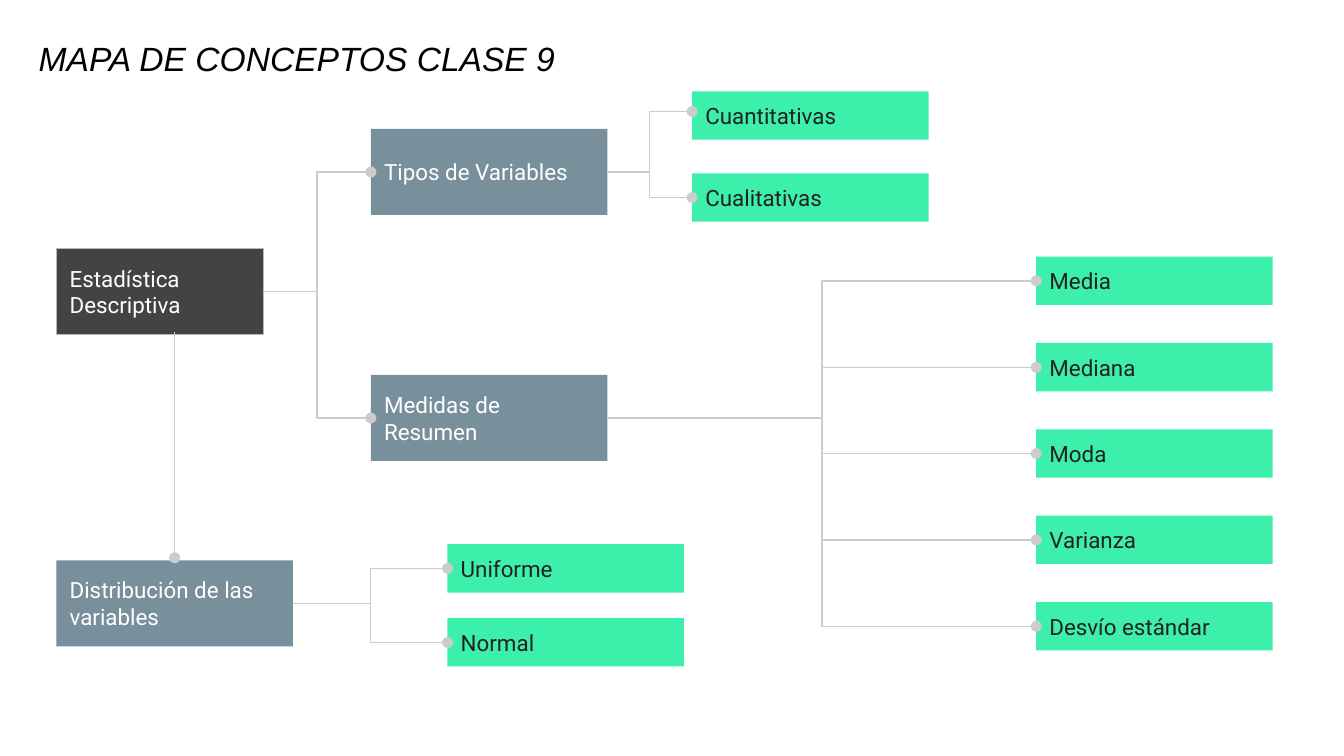
import pptx
import pptx.dml.color
import pptx.enum.shapes
import pptx.enum.text
import pptx.oxml
import pptx.oxml.ns
import pptx.util

Inches = pptx.util.Inches
Pt = pptx.util.Pt
Connector = pptx.enum.shapes.MSO_CONNECTOR

COLORS = {
    "root": "434343", "root_line": "B7B7B7", "topic": "78909C", "leaf": "3CEFAB",
    "light": "FFFFFF", "dark": "222222", "title": "000000", "link": "CCCCCC",
}
LEFT_SITE, RIGHT_SITE = 1, 3  # connection sites of a rectangle
TOPIC_WIDTH, TOPIC_HEIGHT, LEAF_HEIGHT = 1.76, 0.64, 0.36


def color(name):
    return pptx.dml.color.RGBColor.from_string(COLORS[name])


def write(shape, text, size, font, ink, anchor):
    frame = shape.text_frame
    frame.word_wrap = True
    frame.vertical_anchor = anchor
    frame.margin_left = frame.margin_right = Inches(0.1)
    frame.margin_top = frame.margin_bottom = Inches(0.1)
    para = frame.paragraphs[0]
    para.alignment = pptx.enum.text.PP_ALIGN.LEFT
    span = para.add_run()
    span.text = text
    span.font.size = Pt(size)
    span.font.name = font
    span.font.color.rgb = color(ink)
    return span


# A 16:9 page
deck = pptx.Presentation()
deck.slide_width = Inches(10)
deck.slide_height = Inches(10 * 9 / 16)
page = deck.slides.add_slide(deck.slide_layouts[6])

# Title
title = page.shapes.add_textbox(Inches(0.19), Inches(0.22), Inches(8.26), Inches(0.46))
title_span = write(title, "MAPA DE CONCEPTOS CLASE 9", 18, "Arial", "title",
                   pptx.enum.text.MSO_ANCHOR.BOTTOM)
title_span.font.italic = True

# Concepts: text, kind, left, top, width, height
concepts = [("Estadística Descriptiva", "root", 0.42, 1.85, 1.54, TOPIC_HEIGHT)]
for text, left, top in [
    ("Tipos de Variables", 2.76, 0.96),
    ("Medidas de Resumen", 2.76, 2.79),
    ("Distribución de las variables", 0.42, 4.17),
]:
    concepts.append((text, "topic", left, top, TOPIC_WIDTH, TOPIC_HEIGHT))

# Leaf columns: parent, left, first top, last top, leaves
branches = [
    ("Tipos de Variables", 5.15, 0.68, 1.29, ["Cuantitativas", "Cualitativas"]),
    ("Distribución de las variables", 3.33, 4.05, 4.6, ["Uniforme", "Normal"]),
    ("Medidas de Resumen", 7.71, 1.91, 4.48,
     ["Media", "Mediana", "Moda", "Varianza", "Desvío estándar"]),
]
links = [("Estadística Descriptiva", "Tipos de Variables"),
         ("Estadística Descriptiva", "Medidas de Resumen")]
for parent, left, first, last, leaves in branches:
    step = (last - first) / (len(leaves) - 1)
    for row, leaf in enumerate(leaves):
        concepts.append((leaf, "leaf", left, first + row * step, TOPIC_WIDTH, LEAF_HEIGHT))
        links.append((parent, leaf))

# Boxes
boxes = {}
for text, kind, left, top, width, height in concepts:
    box = page.shapes.add_shape(pptx.enum.shapes.MSO_SHAPE.RECTANGLE, Inches(left),
                                Inches(top), Inches(width), Inches(height))
    box.shadow.inherit = False
    box.fill.solid()
    box.fill.fore_color.rgb = color(kind)
    if kind == "root":
        box.line.color.rgb = color("root_line")
        box.line.width = Pt(0.75)
    else:
        box.line.fill.background()
    write(box, text, 12, "Roboto", "dark" if kind == "leaf" else "light",
          pptx.enum.text.MSO_ANCHOR.MIDDLE)
    boxes[text] = box

# Elbow links from the right of a parent to the left of a child
connectors = []
for parent, child in links:
    connector = page.shapes.add_connector(Connector.ELBOW, 0, 0, 0, 0)
    connector.begin_connect(boxes[parent], RIGHT_SITE)
    if child == "Cuantitativas":  # ends a little above the middle of its box
        connector.end_x, connector.end_y = Inches(5.15), Inches(0.83)
    else:
        connector.end_connect(boxes[child], LEFT_SITE)
    connectors.append(connector)

# Vertical link down to the distribution topic
connectors.append(page.shapes.add_connector(
    Connector.STRAIGHT, Inches(1.3), Inches(2.47), Inches(1.3), Inches(4.15)))

# Link style: thin grey line with a round end
for connector in connectors:
    connector.line.color.rgb = color("link")
    connector.line.width = Pt(0.75)
    properties = connector._element.spPr
    line = properties.find(pptx.oxml.ns.qn("a:ln"))
    line.append(line.makeelement(pptx.oxml.ns.qn("a:tailEnd"), {"type": "oval"}))
    properties.append(properties.makeelement(pptx.oxml.ns.qn("a:effectLst"), {}))

deck.save("out.pptx")
